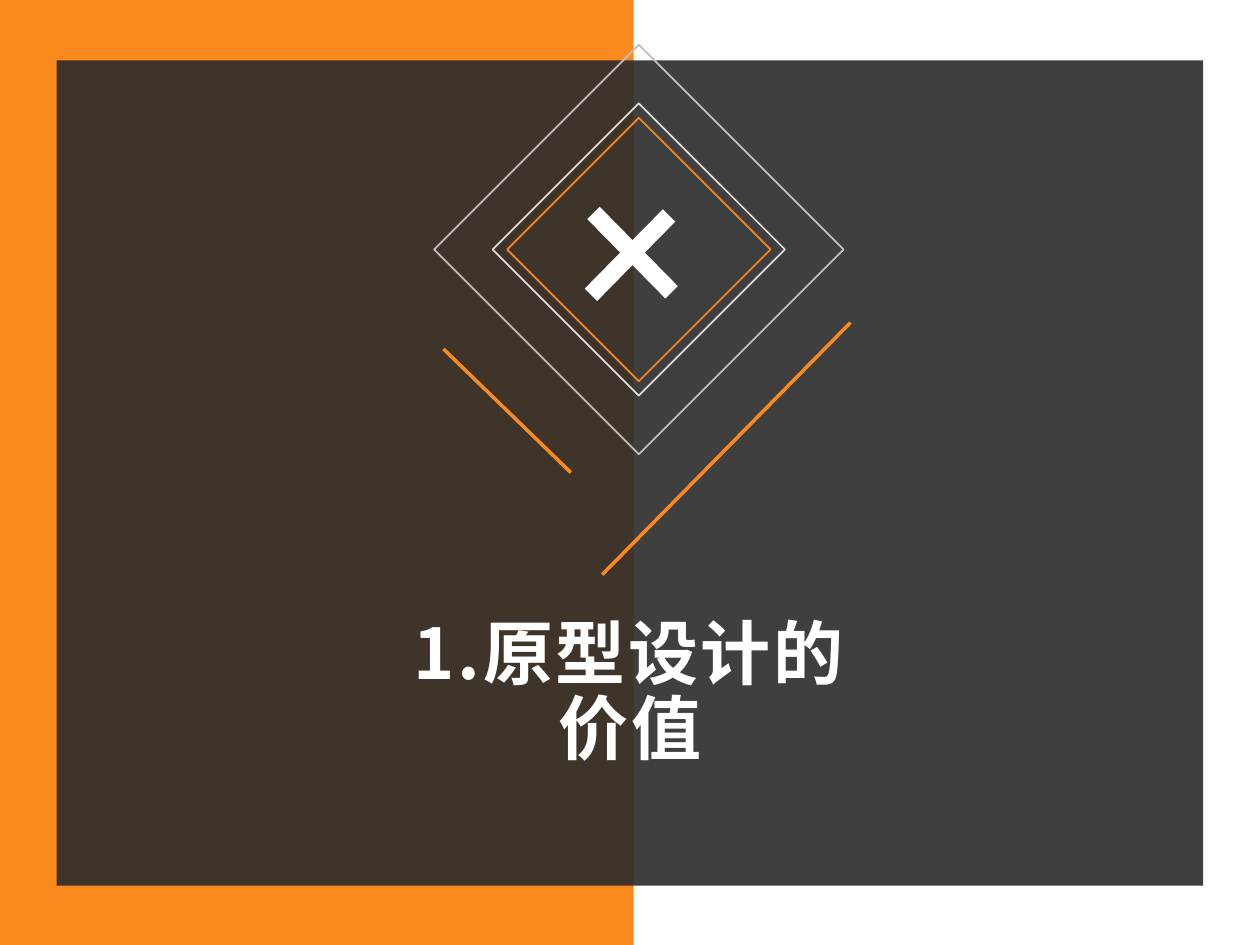
from dataclasses import dataclass

from lxml import etree
from pptx import Presentation
from pptx.dml.color import RGBColor
from pptx.enum.shapes import MSO_CONNECTOR, MSO_SHAPE
from pptx.enum.text import MSO_ANCHOR, PP_ALIGN
from pptx.oxml.ns import qn
from pptx.util import Inches, Pt

RECTANGLE = MSO_SHAPE.RECTANGLE
DIAMOND = MSO_SHAPE.DIAMOND
STRAIGHT = MSO_CONNECTOR.STRAIGHT
TOP = MSO_ANCHOR.TOP
CENTER = PP_ALIGN.CENTER
WIDTH, HEIGHT = 10, 7.5


@dataclass(frozen=True)
class Theme:
    """Colours, font and type sizes of the section slide."""
    accent: str = "FA891E"
    panel: str = "2B2B2B"
    light: str = "FFFFFF"
    inner_ring: str = "D9D9D9"
    outer_ring: str = "BFBFBF"
    font: str = "Noto Sans CJK SC"
    title_size: float = 40
    title_tracking: float = 1.5
    title_leading: float = 0.9


THEME = Theme()


def add_panel(page, left, top, width, height, color, opacity=100):
    """Add a filled rectangle without outline, opacity in percent."""
    panel = page.shapes.add_shape(
        RECTANGLE, Inches(left), Inches(top), Inches(width), Inches(height))
    panel.shadow.inherit = False
    panel.fill.solid()
    panel.fill.fore_color.rgb = RGBColor.from_string(color)
    panel.line.fill.background()
    if opacity < 100:
        tint = panel.fill._xPr.find(qn("a:solidFill"))[0]
        etree.SubElement(tint, qn("a:alpha")).set("val", str(opacity * 1000))


def add_ring(shapes, center, size, color):
    """Add an unfilled diamond around a centre point."""
    x, y = center
    ring = shapes.add_shape(
        DIAMOND, Inches(x - size / 2), Inches(y - size / 2),
        Inches(size), Inches(size))
    ring.shadow.inherit = False
    ring.fill.background()
    ring.line.color.rgb = RGBColor.from_string(color)
    ring.line.width = Pt(1)


def add_stroke(shapes, start, end, color, weight):
    """Add a straight line between two points."""
    stroke = shapes.add_connector(
        STRAIGHT, *(Inches(value) for value in (*start, *end)))
    stroke.line.color.rgb = RGBColor.from_string(color)
    stroke.line.width = Pt(weight)
    etree.SubElement(stroke._element.spPr, qn("a:effectLst"))


def add_title(page, text, left, top, width, height):
    """Add the centred, tracked section title."""
    box = page.shapes.add_textbox(
        Inches(left), Inches(top), Inches(width), Inches(height))
    frame = box.text_frame
    frame.word_wrap = True
    frame.vertical_anchor = TOP
    para = frame.paragraphs[0]
    para.alignment = CENTER
    para.line_spacing = THEME.title_leading
    span = para.add_run()
    span.text = text
    font = span.font
    font.name = THEME.font
    font.size = Pt(THEME.title_size)
    font.bold = True
    font.color.rgb = RGBColor.from_string(THEME.light)
    properties = span._r.get_or_add_rPr()
    properties.set("spc", str(int(THEME.title_tracking * 100)))
    etree.SubElement(properties, qn("a:ea")).set("typeface", THEME.font)


def main():
    """Build the section slide and save it."""
    deck = Presentation()
    deck.slide_width, deck.slide_height = Inches(WIDTH), Inches(HEIGHT)
    page = deck.slides.add_slide(deck.slide_layouts[6])

    margin = 0.45
    add_panel(page, 0, 0, 5.03, HEIGHT, THEME.accent)
    add_panel(page, margin, 0.48, WIDTH - 2 * margin, 6.55,
              THEME.panel, opacity=90)

    cross = page.shapes.add_group_shape().shapes
    add_stroke(cross, (5.31, 1.71), (4.69, 2.34), THEME.light, 10)
    add_stroke(cross, (5.33, 2.32), (4.71, 1.69), THEME.light, 10)
    add_stroke(page.shapes, (3.52, 2.77), (4.53, 3.75), THEME.accent, 2)
    add_stroke(page.shapes, (6.75, 2.56), (4.78, 4.56), THEME.accent, 2)

    rings = page.shapes.add_group_shape().shapes
    for size, color in ((2.09, THEME.accent), (2.32, THEME.inner_ring),
                        (3.25, THEME.outer_ring)):
        add_ring(rings, (5.07, 1.98), size, color)

    add_title(page, "1.原型设计的价值", 2.9, 4.86, 4.2, 0.31)
    deck.save("out.pptx")


if __name__ == "__main__":
    main()
